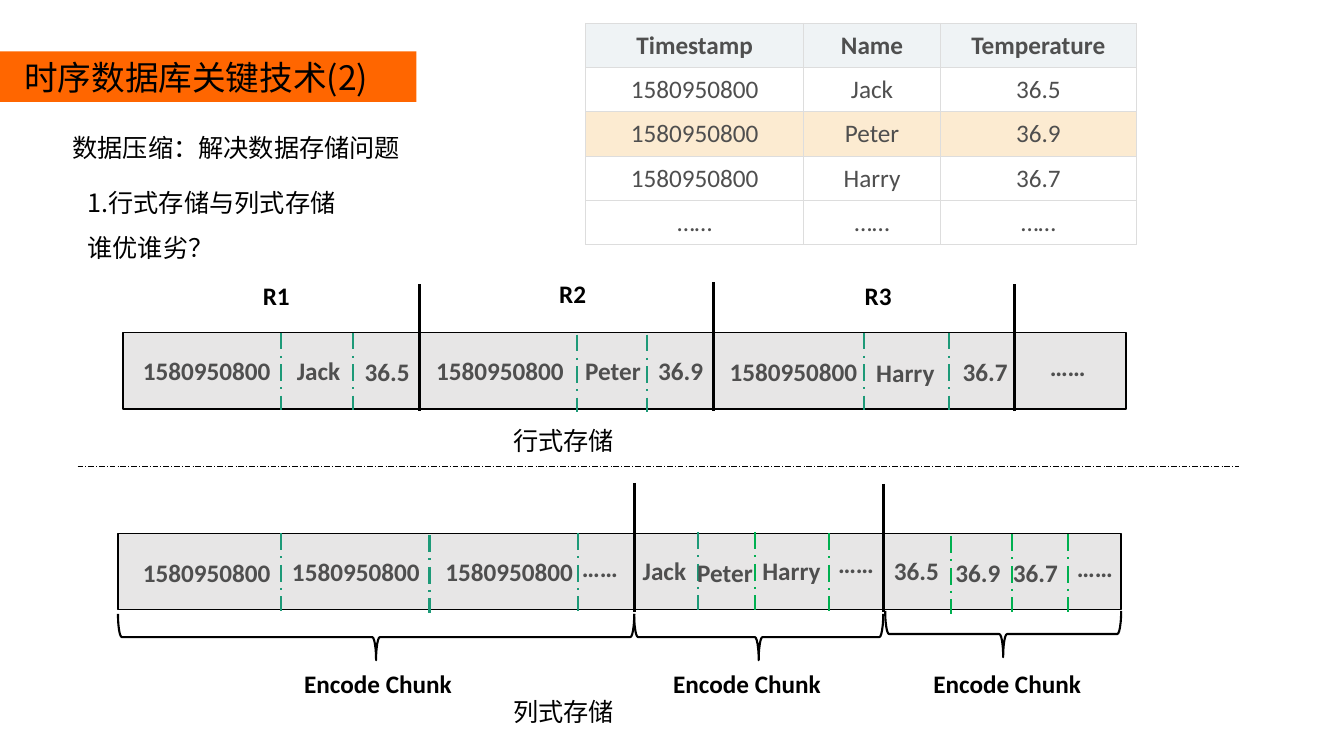
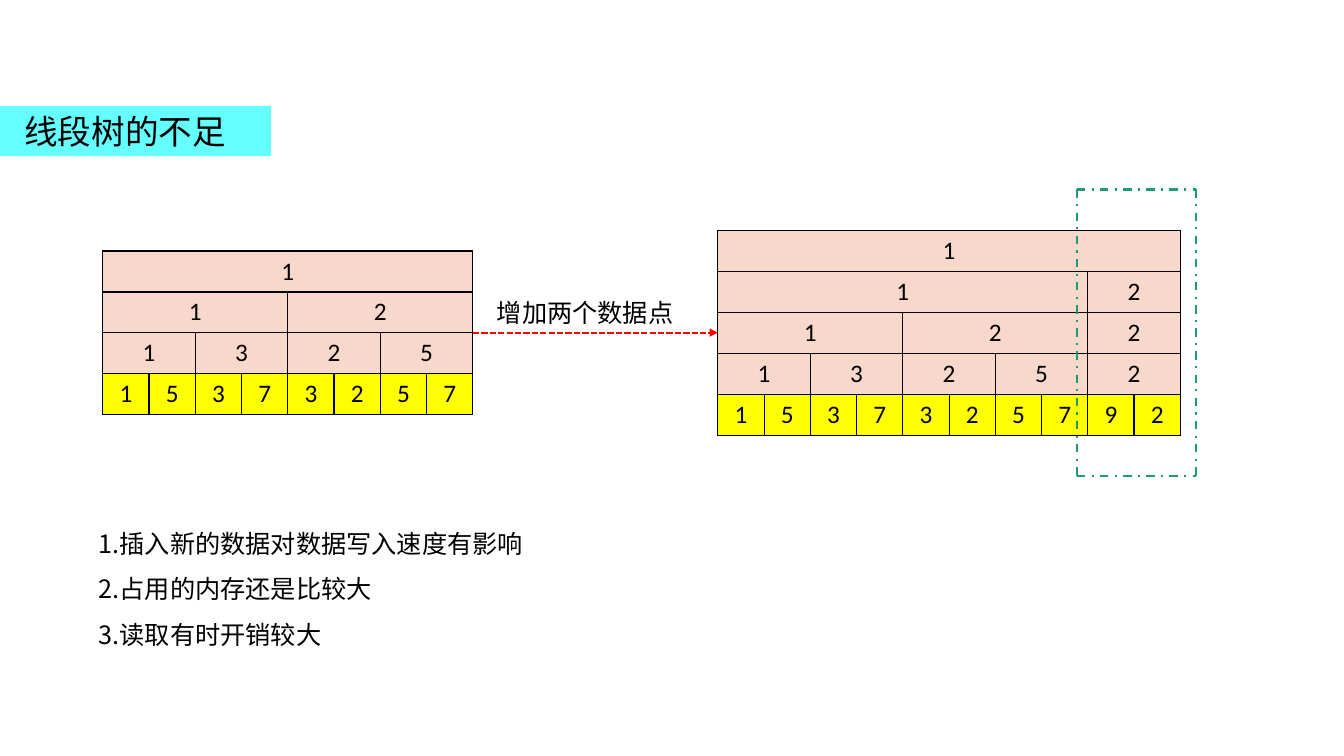
from lxml.etree import SubElement
from pptx import Presentation
from pptx.dml.color import RGBColor
from pptx.enum.dml import MSO_LINE
from pptx.enum.shapes import MSO_CONNECTOR, MSO_SHAPE
from pptx.enum.text import MSO_ANCHOR, MSO_AUTO_SIZE, PP_ALIGN
from pptx.oxml.ns import qn
from pptx.util import Inches, Pt

COLORS = {
    "black": "000000", "gray": "4F4F4F", "bar": "E7E6E6", "teal": "1D9A78",
    "green": "00B050", "red": "FF0000", "orange": "FF6600", "cyan": "66FFFF",
    "grid": "DDDDDD", "header": "EFF3F5", "white": "FFFFFF",
    "highlight": "FCEBD1", "node": "F8D8CA", "leaf": "FFFF00",
}
LATIN, CHINESE = "Calibri", "Noto Sans CJK SC"
LABEL_HEIGHT = 0.4
BAND_HEIGHT = 0.5
DIVIDER_HEIGHT = 0.77
BOUNDARY_END = 0.78
BRACE_DEPTH = 0.46
TITLE_ONLY = 5

ROW_STORAGE = {
    "labels": [
        ("1580950800", 0.83, 0.18), ("Jack", 1.94, 0.18), ("36.5", 2.62, 0.19),
        ("1580950800", 3.74, 0.18), ("Peter", 4.86, 0.18), ("36.9", 5.53, 0.18),
        ("1580950800", 6.65, 0.19), ("Harry", 7.76, 0.2), ("36.7", 8.55, 0.19),
        ("……", 9.37, 0.14),
    ],
    "dividers": [
        (1.57, 0, "teal"), (2.28, 0, "teal"), (4.5, 0.02, "teal"),
        (5.2, 0.02, "teal"), (7.35, 0, "teal"), (8.19, 0, "teal"),
    ],
    "boundaries": [(2.94, -0.48), (5.86, -0.5), (8.84, -0.48)],
    "captions": [("R1", 1.52, -0.57), ("R2", 4.46, -0.59), ("R3", 7.49, -0.57)],
}
COLUMN_STORAGE = {
    "labels": [
        ("1580950800", 0.88, 0.19), ("1580950800", 2.36, 0.18),
        ("1580950800", 3.88, 0.18), ("……", 4.78, 0.14),
        ("Jack", 5.42, 0.17), ("Peter", 6.02, 0.19),
        ("Harry", 6.68, 0.17), ("……", 7.32, 0.1),
        ("36.5", 7.92, 0.17), ("36.9", 8.53, 0.19),
        ("36.7", 9.1, 0.19), ("……", 9.69, 0.14),
    ],
    "dividers": [
        (1.62, 0, "teal"), (3.09, 0.02, "teal"), (4.56, 0, "teal"),
        (5.75, -0.01, "teal"), (6.32, -0.01, "green"), (7.05, 0, "green"),
        (8.26, 0.03, "green"), (8.87, 0.01, "green"), (9.42, 0.01, "green"),
    ],
    "boundaries": [(5.12, -0.5), (7.59, -0.49)],
    "captions": [("Encode Chunk", center, 1.29) for center in (2.58, 6.24, 8.82)],
}
CHUNK_BRACES = [(0, 5.12, 0.8), (5.12, 7.59, 0.8), (7.61, 9.95, 0.77)]


def rgb(name):
    """Return the named colour."""
    return RGBColor.from_string(COLORS[name])


def write(paragraph, text, font=LATIN, size=18, color="black", bold=False, align=PP_ALIGN.LEFT):
    """Add one formatted run to a paragraph."""
    paragraph.alignment = align
    run = paragraph.add_run()
    run.text = text
    run.font.size = Pt(size)
    run.font.bold = bold
    run.font.color.rgb = rgb(color)
    run.font.name = font
    SubElement(run.font._element, qn("a:ea")).set("typeface", font)


def add_text(slide, box, lines, spacing=1.0, **style):
    """Place a text box holding one paragraph per line."""
    frame = slide.shapes.add_textbox(*map(Inches, box)).text_frame
    frame.word_wrap = True
    for index, line in enumerate(lines):
        paragraph = frame.add_paragraph() if index else frame.paragraphs[0]
        paragraph.line_spacing = spacing
        write(paragraph, line, **style)


def add_label(slide, center, top, text, color):
    """Place a bold label centred on a horizontal position."""
    width = 2
    add_text(slide, (center - width / 2, top, width, LABEL_HEIGHT), [text],
             color=color, bold=True, align=PP_ALIGN.CENTER)


def add_line(slide, start, end, color, weight, dash=None, arrow=False):
    """Draw a straight line between two points."""
    connector = slide.shapes.add_connector(
        MSO_CONNECTOR.STRAIGHT, *map(Inches, (*start, *end)))
    connector.line.color.rgb = rgb(color)
    connector.line.width = Pt(weight)
    if dash:
        connector.line.dash_style = dash
    if arrow:
        SubElement(connector.line._get_or_add_ln(), qn("a:tailEnd")).set("type", "triangle")
    SubElement(connector._element.spPr, qn("a:effectLst"))


def add_outlined(slide, preset, box, weight, fill=None):
    """Add a black outlined preset shape."""
    shape = slide.shapes.add_shape(preset, *map(Inches, box))
    shape.shadow.inherit = False
    shape.line.color.rgb = rgb("black")
    shape.line.width = Pt(weight)
    if fill:
        shape.fill.solid()
        shape.fill.fore_color.rgb = rgb(fill)
    else:
        shape.fill.background()
    return shape


def add_titled_slide(presentation, title, top, width, color):
    """Add a slide whose title sits on a band at the left edge."""
    slide = presentation.slides.add_slide(presentation.slide_layouts[TITLE_ONLY])
    band = slide.shapes.title
    band.left, band.top, band.width, band.height = map(Inches, (0, top, width, BAND_HEIGHT))
    band.fill.solid()
    band.fill.fore_color.rgb = rgb(color)
    frame = band.text_frame
    frame.auto_size = MSO_AUTO_SIZE.NONE
    frame.word_wrap = True
    frame.vertical_anchor = MSO_ANCHOR.MIDDLE
    frame.margin_left = Inches(0.24)
    write(frame.paragraphs[0], title, font=CHINESE, size=24)
    return slide


def format_cell(cell, fill, border, weight):
    """Fill a cell and draw its four borders."""
    properties = cell._tc.get_or_add_tcPr()
    for side in ("lnL", "lnR", "lnT", "lnB"):
        line = SubElement(properties, qn(f"a:{side}"), w=str(Pt(weight)))
        solid = SubElement(line, qn("a:solidFill"))
        SubElement(solid, qn("a:srgbClr"), val=COLORS[border])
    cell.fill.solid()
    cell.fill.fore_color.rgb = rgb(fill)


def add_plain_table(slide, left, top, widths, row_height, fills, border, weight):
    """Add a bordered table with one fill for each row."""
    table = slide.shapes.add_table(
        len(fills), len(widths), *map(Inches, (left, top, sum(widths), row_height * len(fills)))).table
    table.first_row = table.horz_banding = False
    for column, width in zip(table.columns, widths):
        column.width = Inches(width)
    for row, fill in zip(table.rows, fills):
        row.height = Inches(row_height)
        for cell in row.cells:
            format_cell(cell, fill, border, weight)
    return table


def add_records(slide, left, top):
    """Place the table of temperature records."""
    rows = [
        ("Timestamp", "Name", "Temperature"),
        ("1580950800", "Jack", "36.5"),
        ("1580950800", "Peter", "36.9"),
        ("1580950800", "Harry", "36.7"),
        ("……",) * 3,
    ]
    fills = ["header", "white", "highlight", "white", "white"]
    table = add_plain_table(slide, left, top, (2.16, 1.36, 1.94), 0.434, fills, "grid", 0.6)
    for row_index, values in enumerate(rows):
        for column_index, value in enumerate(values):
            cell = table.cell(row_index, column_index)
            cell.vertical_anchor = MSO_ANCHOR.MIDDLE
            cell.margin_left = cell.margin_right = Inches(0.07)
            cell.margin_top = cell.margin_bottom = Inches(0.07)
            write(cell.text_frame.paragraphs[0], value, color="gray",
                  bold=row_index == 0, align=PP_ALIGN.CENTER)


def add_storage(slide, box, layout):
    """Draw a storage bar with its dividers, labels and captions."""
    left, top = box[:2]
    add_outlined(slide, MSO_SHAPE.RECTANGLE, box, 1, "bar")
    for offset, drop, color in layout["dividers"]:
        x, y = left + offset, top + drop
        add_line(slide, (x, y), (x, y + DIVIDER_HEIGHT), color, 1.5, MSO_LINE.LONG_DASH_DOT)
    for offset, rise in layout["boundaries"]:
        x = left + offset
        add_line(slide, (x, top + rise), (x, top + BOUNDARY_END), "black", 2.25)
    for group, color in (("labels", "gray"), ("captions", "black")):
        for text, center, drop in layout[group]:
            add_label(slide, left + center, top + drop, text, color)


def add_braces(slide, left, top, spans):
    """Draw downward braces below the spans of a bar."""
    for start, end, drop in spans:
        length = end - start
        center_x = left + (start + end) / 2
        center_y = top + drop + BRACE_DEPTH / 2
        box = (center_x - BRACE_DEPTH / 2, center_y - length / 2, BRACE_DEPTH, length)
        add_outlined(slide, MSO_SHAPE.LEFT_BRACE, box, 1.5).rotation = 270


def add_minimum_tree(slide, left, top, leaves):
    """Draw a segment tree of minimums as a table with merged cells."""
    count = len(leaves)
    spans = [1]
    while spans[0] < count:
        spans.insert(0, spans[0] * 2)
    fills = ["node"] * (len(spans) - 1) + ["leaf"]
    table = add_plain_table(slide, left, top, [0.459] * count, 0.406, fills, "black", 1)
    for row_index, span in enumerate(spans):
        for start in range(0, count, span):
            end = min(start + span, count)
            cell = table.cell(row_index, start)
            if end - start > 1:
                cell.merge(table.cell(row_index, end - 1))
            write(cell.text_frame.paragraphs[0], str(min(leaves[start:end])), align=PP_ALIGN.CENTER)


def add_dashed_frame(slide, left, top, width, height):
    """Draw a frame from four dashed lines."""
    right, bottom = left + width, top + height
    for x in (left, right):
        add_line(slide, (x, top), (x, bottom), "teal", 1.5, MSO_LINE.DASH_DOT)
    for y in (top, bottom):
        add_line(slide, (left, y), (right, y), "teal", 1.5, MSO_LINE.DASH_DOT)


def build_storage_slide(presentation):
    """Compare row storage with column storage."""
    slide = add_titled_slide(presentation, "时序数据库关键技术(2)", 0.51, 4.13, "orange")
    add_text(slide, (0.62, 1.26, 3.74, LABEL_HEIGHT), ["数据压缩：解决数据存储问题"], font=CHINESE)
    add_text(slide, (0.77, 1.66, 3.99, 0.96), ["1.行式存储与列式存储", "谁优谁劣？"], 1.5, font=CHINESE)
    add_records(slide, 5.81, 0.23)
    add_storage(slide, (1.22, 3.3, 9.95, 0.76), ROW_STORAGE)
    add_storage(slide, (1.17, 5.29, 9.95, 0.76), COLUMN_STORAGE)
    add_braces(slide, 1.17, 5.29, CHUNK_BRACES)
    for name, top in (("行式存储", 4.17), ("列式存储", 6.86)):
        add_text(slide, (4.99, top, 1.49, LABEL_HEIGHT), [name], font=CHINESE)
    add_line(slide, (0.77, 4.63), (12.29, 4.63), "black", 0.5, MSO_LINE.LONG_DASH_DOT)


def build_tree_slide(presentation):
    """Show the drawbacks of the segment tree."""
    slide = add_titled_slide(presentation, "线段树的不足", 1.05, 2.69, "cyan")
    leaves = [1, 5, 3, 7, 3, 2, 5, 7]
    add_minimum_tree(slide, 7.12, 2.29, leaves + [9, 2])
    add_minimum_tree(slide, 1.02, 2.49, leaves)
    add_line(slide, (4.69, 3.3), (7.12, 3.3), "red", 1.5, MSO_LINE.SQUARE_DOT, arrow=True)
    add_text(slide, (4.83, 2.9, 2.14, LABEL_HEIGHT), ["增加两个数据点"], font=CHINESE)
    add_dashed_frame(slide, 10.68, 1.88, 1.18, 2.84)
    drawbacks = ["1.插入新的数据对数据写入速度有影响", "2.占用的内存还是比较大", "3.读取有时开销较大"]
    add_text(slide, (0.88, 5.04, 6.09, 1.41), drawbacks, 1.5, font=CHINESE)


def main():
    """Build and save the presentation."""
    presentation = Presentation()
    presentation.slide_width, presentation.slide_height = Inches(13.33), Inches(7.5)
    build_storage_slide(presentation)
    build_tree_slide(presentation)
    presentation.save("out.pptx")


if __name__ == "__main__":
    main()
